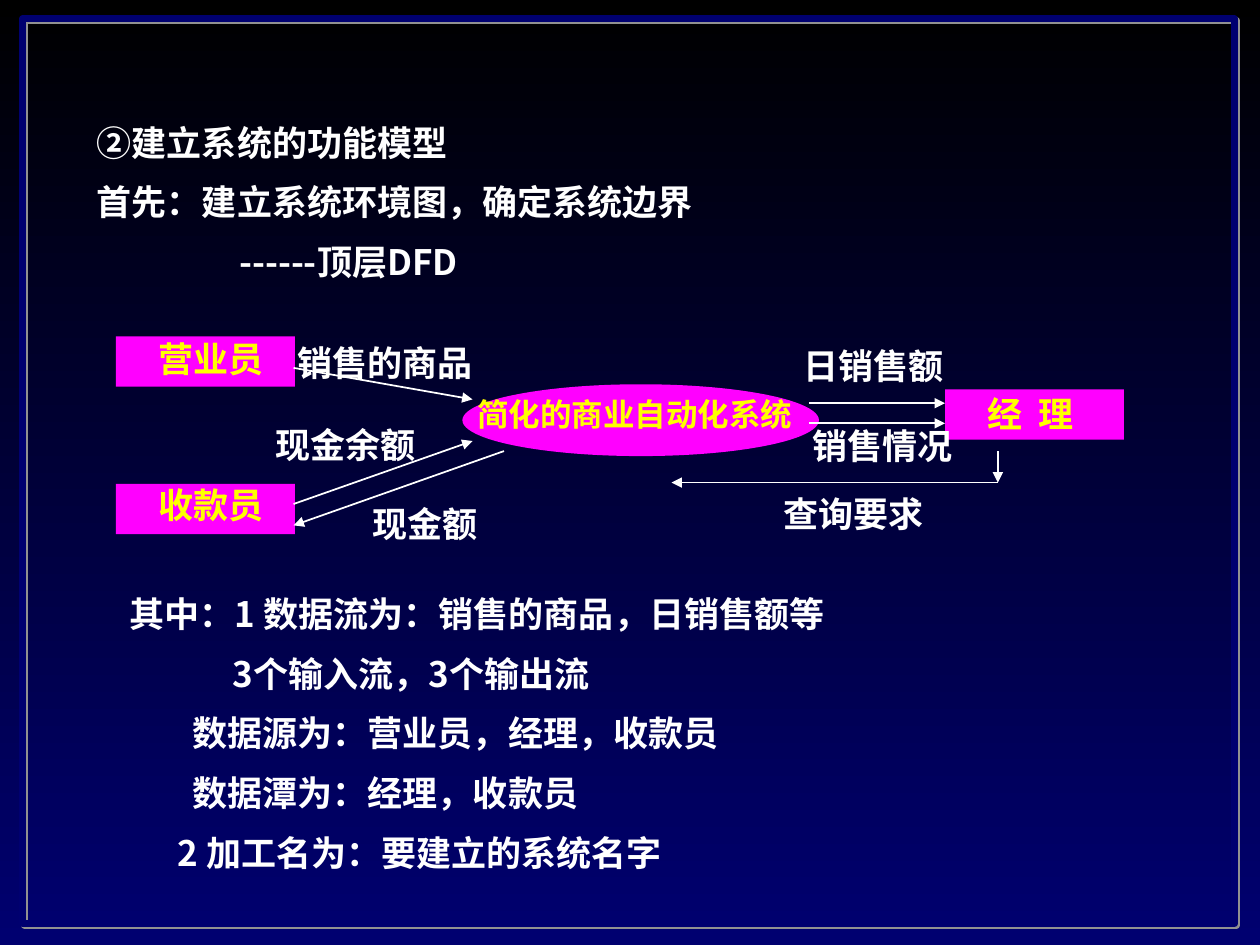
from dataclasses import dataclass

from lxml.etree import SubElement
from pptx import Presentation
from pptx.dml.color import RGBColor
from pptx.enum.shapes import MSO_CONNECTOR as Connector, MSO_SHAPE as Shape
from pptx.enum.text import MSO_AUTO_SIZE as AutoSize
from pptx.oxml.ns import qn
from pptx.util import Inches, Pt

COLORS = {
    "top": "000000", "navy": "000070", "shadow": "919191",
    "node": "FF00FF", "node_text": "FFFF00", "text": "FFFFFF",
}
CJK = "Noto Sans CJK SC"


@dataclass
class Node:
    kind: Shape
    left: float
    top: float
    width: float
    height: float


@dataclass
class Label:
    text: str
    left: float
    top: float
    width: float
    color: str = "text"
    size: int = 20
    tracking: int = 0


@dataclass
class Flow:
    x1: float
    y1: float
    x2: float
    y2: float
    weight: float = 1


@dataclass
class Line:
    text: str
    indent: float = 0
    marker: str = ""


NODES = [
    Node(Shape.OVAL, 3.67, 3.05, 2.83, 0.57),
    Node(Shape.RECTANGLE, 0.92, 2.67, 1.42, 0.4),
    Node(Shape.RECTANGLE, 0.92, 3.84, 1.42, 0.4),
    Node(Shape.RECTANGLE, 7.5, 3.09, 1.42, 0.4),
]
NODE_LABELS = [
    Label("简化的商业自动化系统", 3.69, 3.12, 2.77, "node_text", 18),
    Label("营业员", 1.16, 2.67, 1.03, "node_text"),
    Label("收款员", 1.16, 3.83, 1.03, "node_text"),
    Label("经 理", 7.74, 3.1, 0.88, "node_text", tracking=225),
]
FLOWS = [
    Flow(2.33, 2.92, 3.75, 3.17),
    Flow(2.33, 4, 3.75, 3.5),
    Flow(4, 3.58, 2.33, 4.17),
    Flow(6.42, 3.2, 7.5, 3.2),
    Flow(6.42, 3.36, 7.5, 3.36),
    Flow(7.92, 3.58, 7.92, 3.83, 0.75),
    Flow(7.92, 3.83, 5.33, 3.83),
]
FLOW_LABELS = [
    Label("销售的商品", 2.26, 2.7, 1.59),
    Label("现金余额", 2.09, 3.35, 1.31),
    Label("现金额", 2.86, 3.98, 1.03),
    Label("销售情况", 6.35, 3.36, 1.31),
    Label("日销售额", 6.28, 2.72, 1.31),
    Label("查询要求", 6.12, 3.9, 1.31),
]
HEADING = [
    Line("建立系统的功能模型", marker="②"),
    Line("首先：建立系统环境图，确定系统边界"),
    Line("------顶层DFD", 1.13),
]
NOTES = [
    Line("其中：1 数据流为：销售的商品，日销售额等"),
    Line("3个输入流，3个输出流", 0.82),
    Line("数据源为：营业员，经理，收款员", 0.5),
    Line("数据潭为：经理，收款员", 0.5),
    Line("2 加工名为：要建立的系统名字", 0.38),
]


def rgb(name: str) -> RGBColor:
    return RGBColor.from_string(COLORS[name])


def paint_background(slide) -> None:
    fill = slide.background.fill
    fill.gradient()
    fill.gradient_angle = 270
    for stop, position, name in zip(fill.gradient_stops, (0, 1), ("top", "navy")):
        stop.position = position
        stop.color.rgb = rgb(name)


def add_frame(slide) -> None:
    """Outline the slide with a thick line and a thin hard shadow."""
    sp = slide.shapes.add_shape(Shape.RECTANGLE, Inches(0.18), Inches(0.15),
                                Inches(9.62), Inches(7.18))
    sp.fill.background()
    sp.line.color.rgb = rgb("navy")
    sp.line.width = Pt(4)
    sp.shadow.inherit = False
    effects = sp._element.spPr.find(qn("a:effectLst"))
    shadow = SubElement(effects, qn("a:outerShdw"), dist=str(Pt(1.4)),
                        dir="2700000", algn="ctr", rotWithShape="0")
    SubElement(shadow, qn("a:srgbClr"), val=COLORS["shadow"])


def add_node(slide, node: Node) -> None:
    sp = slide.shapes.add_shape(node.kind, Inches(node.left), Inches(node.top),
                                Inches(node.width), Inches(node.height))
    sp.fill.solid()
    sp.fill.fore_color.rgb = rgb("node")
    sp.line.fill.background()
    sp.shadow.inherit = False


def add_flow(slide, flow: Flow) -> None:
    line = slide.shapes.add_connector(
        Connector.STRAIGHT, Inches(flow.x1), Inches(flow.y1),
        Inches(flow.x2), Inches(flow.y2))
    line.line.color.rgb = rgb("text")
    line.line.width = Pt(flow.weight)
    SubElement(line.line._get_or_add_ln(), qn("a:tailEnd"), type="triangle")
    SubElement(line._element.spPr, qn("a:effectLst"))


def add_text_frame(slide, left: float, top: float, width: float,
                   height: float, wrap: bool):
    box = slide.shapes.add_textbox(Inches(left), Inches(top),
                                   Inches(width), Inches(height))
    tf = box.text_frame
    tf.word_wrap = wrap
    tf.auto_size = AutoSize.NONE
    return tf


def add_run(p, text: str, color: str = "text", size: int = 20,
            font: str = CJK, tracking: int = 0) -> None:
    p.line_spacing = 0.9
    r = p.add_run()
    r.text = text
    r.font.size = Pt(size)
    r.font.bold = True
    r.font.color.rgb = rgb(color)
    r.font.name = font
    props = r.font._element
    SubElement(props, qn("a:ea"), typeface=font)
    if tracking:
        props.set("spc", str(tracking))


def add_label(slide, label: Label) -> None:
    tf = add_text_frame(slide, label.left, label.top, label.width, 0.4, False)
    add_run(tf.paragraphs[0], label.text, label.color, label.size,
            tracking=label.tracking)


def add_lines(slide, lines: list[Line], left: float, top: float,
              width: float, height: float) -> None:
    tf = add_text_frame(slide, left, top, width, height, True)
    for i, line in enumerate(lines):
        p = tf.add_paragraph() if i else tf.paragraphs[0]
        if i:
            p.space_before = Pt(12.5)
        if line.indent:
            p._p.get_or_add_pPr().set("marL", str(Inches(line.indent)))
        if line.marker:
            add_run(p, line.marker, font="Arial")
        add_run(p, line.text)


def main() -> None:
    prs = Presentation()
    prs.slide_width, prs.slide_height = Inches(10), Inches(7.5)
    slide = prs.slides.add_slide(prs.slide_layouts[6])
    paint_background(slide)
    add_frame(slide)
    for node, label in zip(NODES, NODE_LABELS):
        add_node(slide, node)
        add_label(slide, label)
    for flow in FLOWS:
        add_flow(slide, flow)
    for label in FLOW_LABELS:
        add_label(slide, label)
    add_lines(slide, HEADING, 0.67, 0.95, 8.51, 1.35)
    add_lines(slide, NOTES, 0.93, 4.69, 7.58, 2.3)
    prs.save("out.pptx")


if __name__ == "__main__":
    main()
